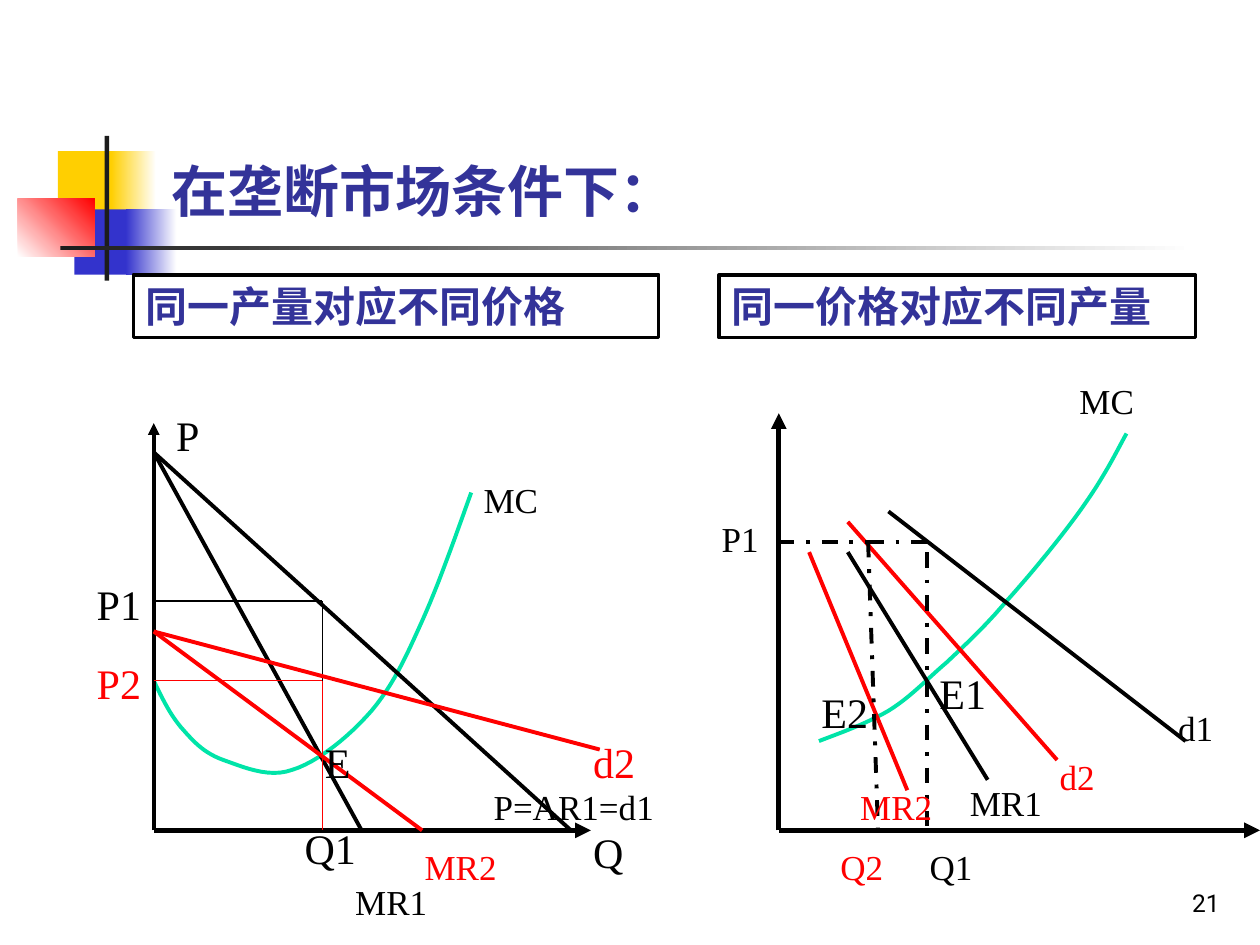
import lxml.etree
import pptx
import pptx.dml.color
import pptx.enum.dml
import pptx.enum.shapes
import pptx.enum.text
import pptx.oxml.ns
import pptx.util

Cm = pptx.util.Cm
Pt = pptx.util.Pt
qn = pptx.oxml.ns.qn
RECTANGLE = pptx.enum.shapes.MSO_SHAPE.RECTANGLE
STRAIGHT = pptx.enum.shapes.MSO_CONNECTOR.STRAIGHT
ANCHOR = pptx.enum.text.MSO_ANCHOR
ALIGN = pptx.enum.text.PP_ALIGN
AUTO_SIZE = pptx.enum.text.MSO_AUTO_SIZE

BLACK, RED, GREEN, NAVY = "000000", "FF0000", "00E4A8", "333399"
YELLOW, BLUE, CHARCOAL, WHITE = "FFCF01", "3333CC", "1C1C1C", "FFFFFF"


def paint(fill, *colors, angle=0):
    if len(colors) == 1:
        fill.solid()
        fill.fore_color.rgb = pptx.dml.color.RGBColor.from_string(colors[0])
        return
    fill.gradient()
    fill.gradient_angle = angle
    for stop, color in zip(fill.gradient_stops, colors):
        stop.color.rgb = pptx.dml.color.RGBColor.from_string(color)


def write(shape, text, size=20, color=BLACK, font="Times New Roman", bold=False,
          align=ALIGN.LEFT, anchor=ANCHOR.TOP, auto_size=AUTO_SIZE.NONE):
    frame = shape.text_frame
    frame.text = text
    frame.word_wrap = True
    frame.auto_size = auto_size
    frame.vertical_anchor = anchor
    paragraph = frame.paragraphs[0]
    paragraph.alignment = align
    paragraph.space_before = Pt(0)
    paragraph.font.name = font
    paragraph.font.size = Pt(size)
    paragraph.font.bold = bold
    paint(paragraph.font.fill, color)


presentation = pptx.Presentation()
presentation.slide_width = Cm(25.4)
presentation.slide_height = Cm(19.05)
slide = presentation.slides.add_slide(presentation.slide_layouts[5])
shapes = slide.shapes

ornaments = [
    (1.17, 3.05, 1.22, 1.32, [YELLOW], 0),
    (2.24, 3.05, 0.91, 1.32, [YELLOW, WHITE], 0),
    (1.5, 4.22, 1.17, 1.32, [BLUE], 0),
    (2.54, 4.22, 1.02, 1.32, [BLUE, WHITE], 0),
    (0.36, 4.01, 1.55, 1.17, [WHITE, RED], 45),
    (2.11, 2.74, 0.09, 2.92, [CHARCOAL], 0),
    (1.22, 4.95, 22.86, 0.09, [CHARCOAL, WHITE], 0),
]
for left, top, width, height, colors, angle in ornaments:
    ornament = shapes.add_shape(RECTANGLE, Cm(left), Cm(top), Cm(width), Cm(height))
    ornament.shadow.inherit = False
    ornament.line.fill.background()
    paint(ornament.fill, *colors, angle=angle)

title = shapes.title
title.left, title.top, title.width, title.height = Cm(3.2), Cm(0.58), Cm(21.64), Cm(4.06)
write(title, "在垄断市场条件下：", size=32, color=NAVY, font="Roboto", bold=True,
      anchor=ANCHOR.BOTTOM)
title.element.getparent().append(title.element)

slide_number = shapes.add_textbox(Cm(19.56), Cm(17.35), Cm(5.28), Cm(1.27))
write(slide_number, "21", size=14, font="Roboto", align=ALIGN.RIGHT, anchor=ANCHOR.BOTTOM)

headings = [(2.69, 10.59, "同一产量对应不同价格"), (14.5, 9.6, "同一价格对应不同产量")]
for left, width, text in headings:
    heading = shapes.add_shape(RECTANGLE, Cm(left), Cm(5.54), Cm(width), Cm(1.27))
    heading.shadow.inherit = False
    heading.fill.background()
    heading.line.width = Pt(2)
    paint(heading.line.fill, BLACK)
    write(heading, text, size=24, color=NAVY, bold=True)

marginal_cost_curves = [
    [(3.1, 13.72), (3.28, 14.1), (3.45, 14.45), (3.71, 14.73), (3.94, 14.99),
     (4.14, 15.19), (4.5, 15.32), (4.85, 15.44), (5.41, 15.7), (5.89, 15.52),
     (6.4, 15.37), (7.06, 14.83), (7.49, 14.33), (7.92, 13.82), (8.18, 13.26),
     (8.51, 12.52), (8.84, 11.79), (9.17, 10.85), (9.5, 9.93)],
    [(16.51, 14.94), (16.99, 14.76), (17.48, 14.58), (17.91, 14.33), (18.34, 14.07),
     (18.69, 13.69), (19.1, 13.34), (19.51, 12.95), (19.84, 12.65), (20.29, 12.12),
     (20.78, 11.58), (21.51, 10.69), (21.89, 10.13), (22.3, 9.55), (22.58, 8.97),
     (22.71, 8.74)],
]
STEPS = 12
for controls in marginal_cost_curves:
    points = []
    for first in range(0, len(controls) - 1, 3):
        for step in range(1, STEPS + 1):
            t = step / STEPS
            weights = [(1 - t) ** 3, 3 * t * (1 - t) ** 2, 3 * t ** 2 * (1 - t), t ** 3]
            segment = controls[first:first + 4]
            points.append(tuple(
                Cm(sum(weight * point[axis] for weight, point in zip(weights, segment)))
                for axis in (0, 1)))
    builder = shapes.build_freeform(Cm(controls[0][0]), Cm(controls[0][1]))
    builder.add_line_segments(points, close=False)
    curve = builder.convert_to_shape()
    curve.shadow.inherit = False
    curve.fill.background()
    curve.line.width = Pt(2.25)
    paint(curve.line.fill, GREEN)

BASE, LEFT_AXIS, RIGHT_AXIS = 16.74, 3.1, 15.7
lines = [
    (LEFT_AXIS, BASE, 11.91, BASE, BLACK, 3, "arrow"),
    (LEFT_AXIS, BASE, LEFT_AXIS, 8.53, BLACK, 2.25, "arrow"),
    (LEFT_AXIS, 9.12, 11.51, BASE, BLACK, 2.25, ""),
    (LEFT_AXIS, 9.12, 7.29, BASE, BLACK, 2.25, ""),
    (6.5, BASE, 6.5, 12.12, BLACK, 1, ""),
    (6.5, 12.12, LEFT_AXIS, 12.12, BLACK, 1, ""),
    (LEFT_AXIS, 12.73, 8.51, BASE, RED, 2.25, ""),
    (LEFT_AXIS, 12.73, 12.09, 15.11, RED, 2.25, ""),
    (6.5, 13.72, LEFT_AXIS, 13.72, RED, 1, ""),
    (6.5, 13.72, 6.5, BASE, RED, 1, ""),
    (RIGHT_AXIS, BASE, 25.4, BASE, BLACK, 3, "arrow"),
    (RIGHT_AXIS, BASE, RIGHT_AXIS, 8.33, BLACK, 3, "arrow"),
    (16.31, 11.13, 18.29, 15.93, RED, 2.25, ""),
    (17.09, 10.52, 21.31, 15.32, RED, 2.25, ""),
    (17.09, 11.13, 19.91, 15.72, BLACK, 2.25, ""),
    (17.91, 10.31, 23.9, 14.94, BLACK, 2.25, ""),
    (17.5, 10.92, 17.7, BASE, BLACK, 2.25, "dash"),
    (18.69, 11.13, 18.69, BASE, BLACK, 2.25, "dash"),
    (RIGHT_AXIS, 10.92, 17.5, 10.92, BLACK, 2.25, "dash"),
    (17.5, 10.92, 18.69, 10.92, BLACK, 2.25, "dash"),
]
for start_x, start_y, end_x, end_y, color, weight, style in lines:
    connector = shapes.add_connector(STRAIGHT, Cm(start_x), Cm(start_y), Cm(end_x), Cm(end_y))
    connector.line.width = Pt(weight)
    paint(connector.line.fill, color)
    properties = connector.element.spPr
    if style == "dash":
        connector.line.dash_style = pptx.enum.dml.MSO_LINE.DASH_DOT
    elif style == "arrow":
        lxml.etree.SubElement(properties.find(qn("a:ln")), qn("a:tailEnd"), type="triangle")
    lxml.etree.SubElement(properties, qn("a:effectLst"))

labels = [
    ("P", 3.3, 8.13, 2.59, 24, BLACK),
    ("Q", 11.71, 16.54, 1.8, 24, BLACK),
    ("MC", 9.5, 9.53, 2.21, 20, BLACK),
    ("MR1", 6.91, 17.63, 2.01, 20, BLACK),
    ("P=AR1=d1", 9.7, 15.72, 4.39, 20, BLACK),
    ("P1", 1.7, 11.53, 1.6, 24, BLACK),
    ("P2", 1.7, 13.13, 2.01, 24, RED),
    ("d2", 11.71, 14.73, 2.41, 24, RED),
    ("MR2", 8.31, 16.92, 2.79, 20, RED),
    ("Q1", 5.89, 16.46, 1.8, 24, BLACK),
    ("E", 6.3, 14.73, 1.4, 24, BLACK),
    ("d1", 23.5, 14.12, 1.9, 20, BLACK),
    ("MR1", 19.3, 15.62, 2.39, 20, BLACK),
    ("d2", 21.11, 15.11, 2.01, 20, RED),
    ("MR2", 17.09, 15.72, 2.21, 20, RED),
    ("MC", 21.51, 7.52, 3, 20, BLACK),
    ("P1", 14.3, 10.31, 2.21, 20, BLACK),
    ("Q2", 16.69, 16.92, 1.4, 20, RED),
    ("Q1", 18.49, 16.92, 2.21, 20, BLACK),
    ("E2", 16.31, 13.72, 1.6, 24, BLACK),
    ("E1", 18.69, 13.34, 1.8, 24, BLACK),
]
label_heights = {20: 1.12, 24: 1.27}
for text, left, top, width, size, color in labels:
    label = shapes.add_textbox(Cm(left), Cm(top), Cm(width), Cm(label_heights[size]))
    write(label, text, size=size, color=color, auto_size=AUTO_SIZE.SHAPE_TO_FIT_TEXT)

presentation.save("out.pptx")
